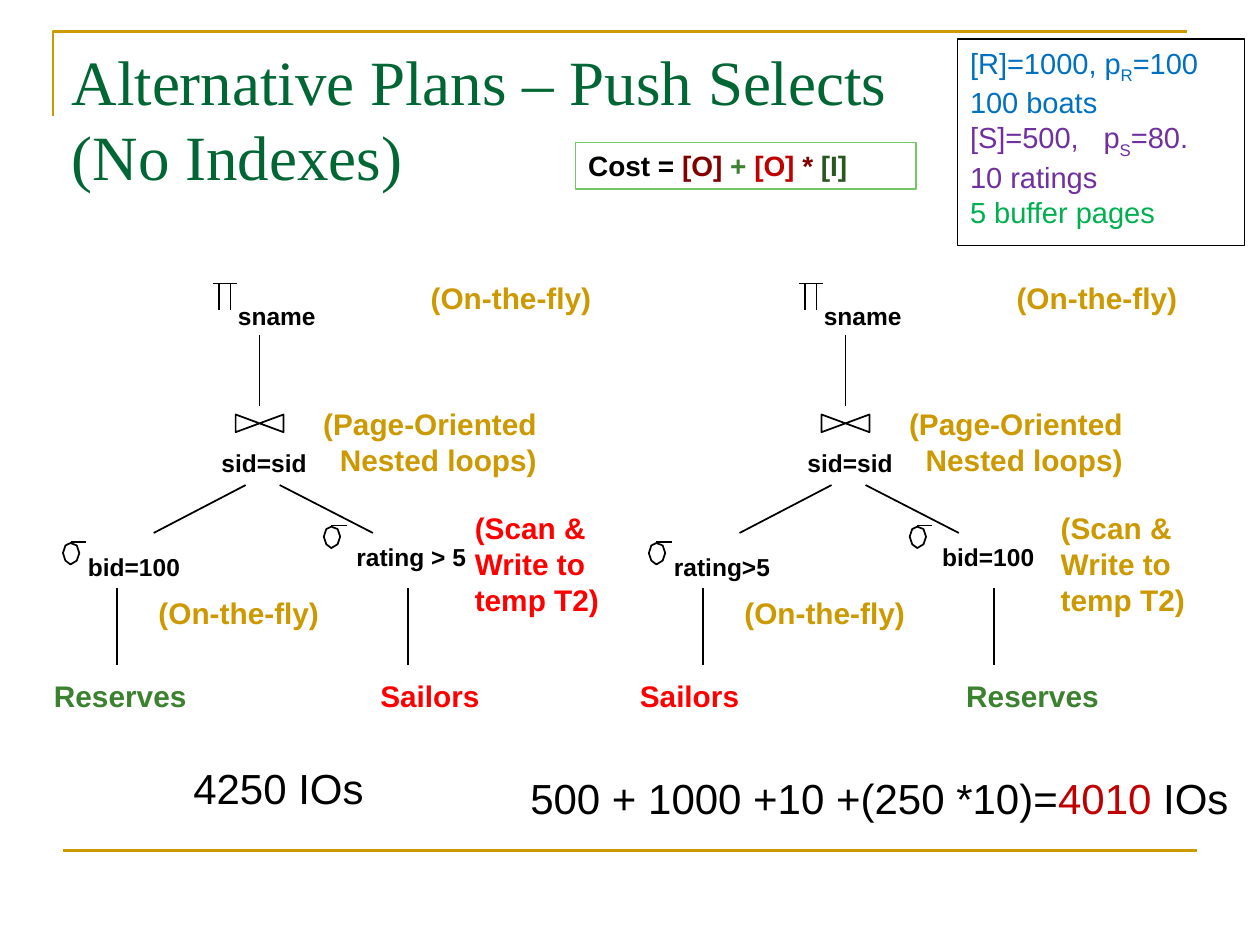
from lxml import etree
from pptx import Presentation
from pptx.dml.color import RGBColor
from pptx.enum.shapes import MSO_CONNECTOR, MSO_SHAPE
from pptx.enum.text import MSO_ANCHOR, PP_ALIGN
from pptx.oxml.ns import qn
from pptx.util import Inches, Pt

STRAIGHT = MSO_CONNECTOR.STRAIGHT
RECTANGLE = MSO_SHAPE.RECTANGLE
TOP, MIDDLE = MSO_ANCHOR.TOP, MSO_ANCHOR.MIDDLE
LEFT, CENTER, RIGHT = PP_ALIGN.LEFT, PP_ALIGN.CENTER, PP_ALIGN.RIGHT

COLORS = {
    "black": "000000", "gold": "CC9900", "title": "006633",
    "red": "FF0000", "green": "3B812F", "crimson": "C00000",
    "maroon": "800000", "dark green": "28571F", "frame green": "73C764",
    "blue": "0070C0", "purple": "7030A0", "bright green": "00B050",
}
RELATIONS = {"Reserves": "green", "Sailors": "red"}


def rgb(name):
    return RGBColor.from_string(COLORS[name])


def add_tab_stop(paragraph, position):
    properties = paragraph._p.get_or_add_pPr()
    stops = etree.SubElement(properties, qn("a:tabLst"))
    etree.SubElement(stops, qn("a:tab"), pos=str(position), algn="l")


def add_text(slide, box, paragraphs, size, color="black", font="Arial", bold=False,
             align=LEFT, anchor=TOP, frame=None, tab=None):
    """Each paragraph is a string or a list of (text, color[, baseline]) runs."""
    left, top, width, height = map(Inches, box)
    if frame:
        shape = slide.shapes.add_shape(RECTANGLE, left, top, width, height)
        shape.shadow.inherit = False
        shape.fill.background()
        shape.line.color.rgb = rgb(frame)
        shape.line.width = Pt(0.75)
    else:
        shape = slide.shapes.add_textbox(left, top, width, height)
    text_frame = shape.text_frame
    text_frame.word_wrap = True
    text_frame.vertical_anchor = anchor
    for index, runs in enumerate(paragraphs):
        paragraph = text_frame.paragraphs[0] if index == 0 else text_frame.add_paragraph()
        paragraph.alignment = align
        if tab:
            add_tab_stop(paragraph, Inches(tab))
        if isinstance(runs, str):
            runs = [(runs, color)]
        for text, run_color, *baseline in runs:
            for number, line in enumerate(text.split("\n")):
                if number:
                    paragraph.add_line_break()
                run = paragraph.add_run()
                run.text = line
                run.font.name = font
                run.font.size = Pt(size)
                run.font.bold = bold
                run.font.color.rgb = rgb(run_color)
                if baseline:
                    run._r.get_or_add_rPr().set("baseline", str(baseline[0]))


def add_line(slide, start, end, color="black", width=1):
    points = [Inches(value) for value in (*start, *end)]
    line = slide.shapes.add_connector(STRAIGHT, *points)
    line.line.color.rgb = rgb(color)
    line.line.width = Pt(width)
    etree.SubElement(line._element.spPr, qn("a:effectLst"))


def add_outline(slide, left, top, points, color="black", width=1, close=True):
    corners = [(Inches(left + x), Inches(top + y)) for x, y in points]
    builder = slide.shapes.build_freeform(*corners[0])
    builder.add_line_segments(corners[1:], close=close)
    shape = builder.convert_to_shape()
    shape.shadow.inherit = False
    shape.fill.background()
    shape.line.color.rgb = rgb(color)
    shape.line.width = Pt(width)


def add_projection_sign(slide, left, top):
    add_line(slide, (left, top), (left + 0.19, top))
    for x in (left + 0.05, left + 0.14):
        add_line(slide, (x, top), (x, top + 0.21))


def add_join_sign(slide, left, top):
    add_outline(slide, left, top, [(0, 0), (0.38, 0.14), (0.38, 0), (0, 0.14)])


def add_selection_sign(slide, left, top):
    ring = [(0.13, 0.09), (0.11, 0.03), (0.06, 0.01), (0.02, 0.03),
            (0, 0.09), (0.02, 0.15), (0.06, 0.18), (0.11, 0.15)]
    add_outline(slide, left, top, ring)
    add_line(slide, (left + 0.06, top), (left + 0.18, top))


def add_plan_tree(slide, left, top, outer, inner, scan_color):
    """Draw a query plan; outer and inner are (relation, selection) pairs."""
    def label(x, y, width, lines, size=17, **text_format):
        height = 0.09 + len(lines) * size / 60
        add_text(slide, (left + x, top + y, width, height), lines, size,
                 bold=True, **text_format)

    def edge(x1, y1, x2, y2):
        add_line(slide, (left + x1, top + y1), (left + x2, top + y2))

    add_projection_sign(slide, left + 1.36, top + 0.08)
    label(1.46, 0.17, 1, ["sname"], 14)
    edge(1.73, 0.49, 1.73, 1.05)
    add_join_sign(slide, left + 1.54, top + 1.12)
    label(1.33, 1.34, 1, ["sid=sid"], 14)
    edge(1.62, 1.68, 0.89, 2.06)
    edge(1.89, 1.68, 2.63, 2.06)

    add_selection_sign(slide, left + 0.17, top + 2.13)
    label(0.27, 2.16, 1.2, [outer[1]], 14)
    add_selection_sign(slide, left + 2.24, top + 2)
    label(2.4, 2.08, 1.2, [inner[1]], 14)
    for x, label_x, (relation, _) in ((0.6, 0, outer), (2.91, 2.59, inner)):
        edge(x, 2.5, x, 3.11)
        label(label_x, 3.16, 1.4, [relation], color=RELATIONS[relation])

    for x, y in ((2.99, 0), (0.83, 2.5)):
        label(x, y, 1.6, ["(On-the-fly)"], color="gold")
    label(2, 1, 2.03, ["(Page-Oriented", "Nested loops)"], color="gold", align=RIGHT)
    label(3.34, 1.83, 1.3, ["(Scan &", "Write to", "temp T2)"], color=scan_color)


def add_page_frame(slide, left, top, width, height):
    add_outline(slide, left, top, [(0, 0.67), (0, 0), (width, 0)],
                "gold", 1.5, close=False)
    bottom = top + height
    add_line(slide, (left + 0.08, bottom), (left + 0.08 + width, bottom), "gold", 1.5)


def add_header(slide, left, top):
    add_text(slide, (left, top, 9.28, 1.21),
             ["Alternative Plans – Push Selects\n(No Indexes)"], 36, "title",
             "Times New Roman", anchor=MIDDLE)
    add_text(slide, (left + 7.13, top - 0.02, 2.28, 1.64), [
        [("[R]=1000, p", "blue"), ("R", "blue", -25000), ("=100", "blue")],
        [("100 boats", "blue")],
        [("[S]=500,\tp", "purple"), ("S", "purple", -25000), ("=80.", "purple")],
        [("10 ratings", "purple")],
        [("5 buffer pages", "bright green")],
    ], 16.6, frame="black", tab=1.06)
    add_text(slide, (left + 4.1, top + 0.8, 2.7, 0.37), [[
        ("Cost = ", "black"), ("[O]", "maroon"), (" + ", "green"),
        ("[O] ", "crimson"), ("* ", "maroon"), ("[I]", "dark green"),
    ]], 16, bold=True, frame="frame green")


def add_total(slide, left, top, width, runs):
    add_text(slide, (left, top, width, 0.5), [runs], 24, align=CENTER, anchor=MIDDLE)


def main():
    presentation = Presentation()
    presentation.slide_width = Inches(10)
    presentation.slide_height = Inches(7.5)
    slide = presentation.slides.add_slide(presentation.slide_layouts[6])

    add_page_frame(slide, 0.42, 0.25, 9, 6.5)
    add_header(slide, 0.47, 0.33)
    add_plan_tree(slide, 0.33, 2.17, ("Reserves", "bid=100"),
                  ("Sailors", "rating > 5"), "red")
    add_plan_tree(slide, 4.98, 2.17, ("Sailors", "rating>5"),
                  ("Reserves", "bid=100"), "gold")
    add_total(slide, 1.17, 6, 2.08, "4250 IOs")
    add_total(slide, 4.03, 6.08, 5.9, [("500 + 1000 +10 +(250 *10)=", "black"),
                                       ("4010", "crimson"), (" IOs", "black")])
    presentation.save("out.pptx")


if __name__ == "__main__":
    main()
